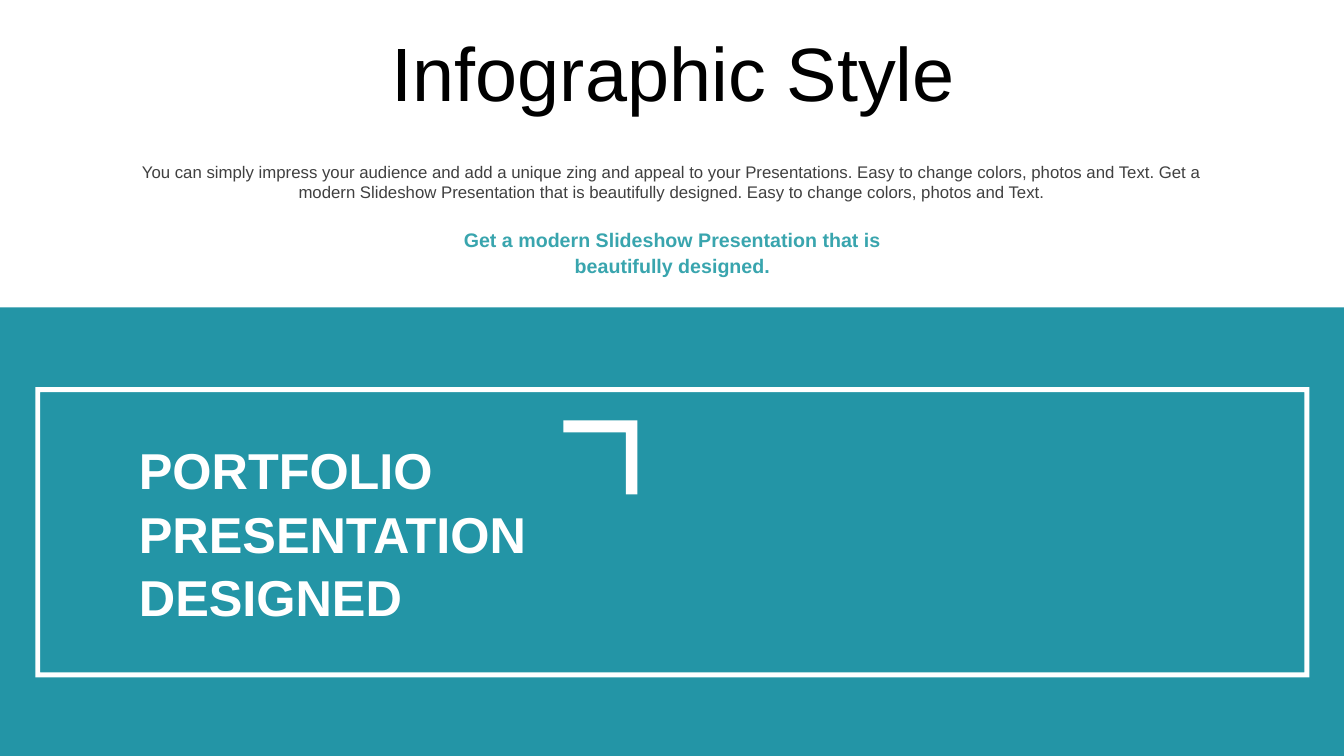
import pptx
import pptx.util
import pptx.dml.color
import pptx.enum.shapes
import pptx.enum.text

SHAPE = pptx.enum.shapes.MSO_SHAPE
ALIGN = pptx.enum.text.PP_ALIGN
ANCHOR = pptx.enum.text.MSO_ANCHOR

theme = {
    "font": "Arial",
    "teal": "2395A6", "accent": "39A5AE", "white": "FFFFFF",
    "body": "404040", "black": "000000",
    "title_size": 54, "portfolio_size": 36, "tagline_size": 14, "intro_size": 12,
}

deck = pptx.Presentation()
deck.slide_width = pptx.util.Inches(13.33)
deck.slide_height = pptx.util.Inches(7.5)
W, H = deck.slide_width / 100, deck.slide_height / 100
slide = deck.slides.add_slide(deck.slide_layouts[6])


def place(left, top, width, height):
    return int(left * W), int(top * H), int(width * W), int(height * H)


def color(name):
    return pptx.dml.color.RGBColor.from_string(theme[name])


banner_parts = [
    (SHAPE.RECTANGLE, (0, 40.67, 100, 59.33), "teal", [], 0),
    (SHAPE.FRAME, (2.63, 51.2, 94.8, 38.4), "white", [0.017], 0),
    (SHAPE.CORNER, (41.92, 55.6, 5.5, 9.78), "white", [0.161, 0.157], 180),
]
for kind, area, fill, adjustments, turn in banner_parts:
    part = slide.shapes.add_shape(kind, *place(*area))
    part.shadow.inherit = False
    part.fill.solid()
    part.fill.fore_color.rgb = color(fill)
    part.line.fill.background()
    part.rotation = turn
    for index, value in enumerate(adjustments):
        part.adjustments[index] = value

texts = [
    ("Infographic Style", (2.63, 4.13, 94.97, 10.53),
     "title_size", "black", False, ALIGN.CENTER, ANCHOR.TOP, 0.9),
    ("You can simply impress your audience and add a unique zing and appeal to your "
     "Presentations. Easy to change colors, photos and Text. Get a modern Slideshow "
     "Presentation that is beautifully designed. Easy to change colors, photos and Text.",
     (9.6, 20.67, 80.8, 6.67),
     "intro_size", "body", False, ALIGN.CENTER, ANCHOR.TOP, 1.0),
    ("Get a modern Slideshow Presentation that is beautifully designed.",
     (30.83, 29.2, 38.41, 8.27),
     "tagline_size", "accent", True, ALIGN.CENTER, ANCHOR.TOP, 1.1),
    ("PORTFOLIO PRESENTATION DESIGNED", (9.6, 56.53, 30.68, 27.6),
     "portfolio_size", "white", True, ALIGN.JUSTIFY, ANCHOR.MIDDLE, 1.05),
]
for wording, area, size, ink, bold, align, anchor, spacing in texts:
    frame = slide.shapes.add_textbox(*place(*area)).text_frame
    frame.word_wrap = True
    frame.vertical_anchor = anchor
    paragraph = frame.paragraphs[0]
    paragraph.alignment = align
    paragraph.line_spacing = spacing
    run = paragraph.add_run()
    run.text = wording
    run.font.name = theme["font"]
    run.font.size = pptx.util.Pt(theme[size])
    run.font.bold = bold
    run.font.color.rgb = color(ink)

deck.save("out.pptx")
